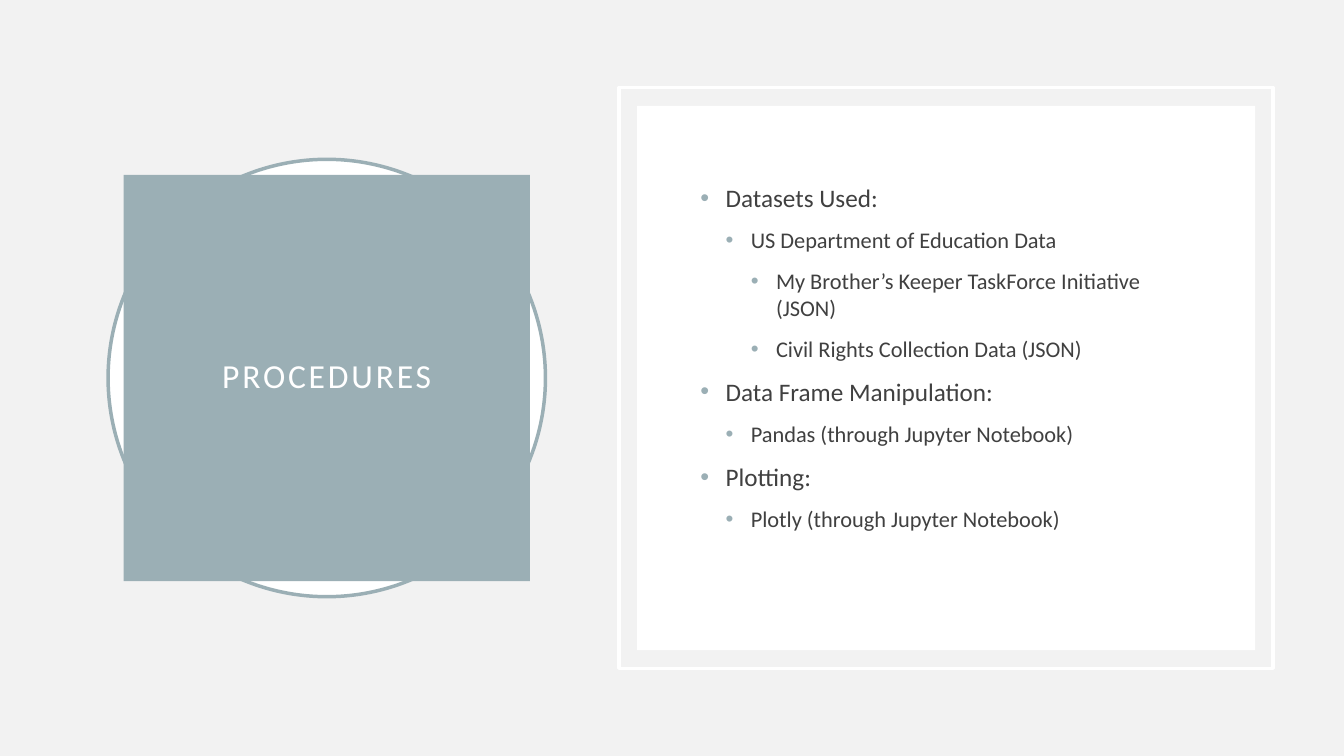
"""Build the Procedures slide: a framed title tile beside a bulleted card."""
import dataclasses
import typing

import pptx
import pptx.dml.color
import pptx.enum.shapes
import pptx.enum.text
import pptx.oxml
import pptx.oxml.ns
import pptx.util

Pt = pptx.util.Pt
Kind = pptx.enum.shapes.MSO_SHAPE
WIDE, HIGH = pptx.util.Inches(13.333), pptx.util.Inches(7.5)
COLS, ROWS = 48, 27
FONT = "Calibri"
HUES = {"back": "F2F2F2", "card": "FFFFFF", "tile": "9BAFB5", "text": "404040"}
STEP = pptx.util.Inches(0.25)


@dataclasses.dataclass(frozen=True)
class Box:
    """A box centred on the slide's middle row, in grid cells."""
    mid: float
    wide: float
    high: float

    def place(self) -> tuple[int, int, int, int]:
        """Give left, top, width and height in EMU."""
        col, row = WIDE / COLS, HIGH / ROWS
        left, top = self.mid - self.wide / 2, (ROWS - self.high) / 2
        return (round(left * col), round(top * row),
                round(self.wide * col), round(self.high * row))


@dataclasses.dataclass(frozen=True)
class Panel:
    """A preset shape with an optional fill and line."""
    kind: typing.Any
    box: Box
    fill: str | None = None
    line: str | None = None


@dataclasses.dataclass(frozen=True)
class Item:
    """One bulleted line and its level."""
    level: int
    text: str


LEFT, RIGHT = 11.67, 33.79
TILE = Panel(Kind.RECTANGLE, Box(LEFT, 14.51, 14.51), "tile")
PANELS = [
    Panel(Kind.OVAL, Box(LEFT, 15.62, 15.62), "card", "tile"),
    Panel(Kind.RECTANGLE, Box(RIGHT, 23.36, 20.74), None, "card"),
    Panel(Kind.RECTANGLE, Box(RIGHT, 22.07, 19.44), "card"),
]
BODY = Box(33.82, 18.32, 15.62)
ITEMS = [
    Item(0, "Datasets Used:"),
    Item(1, "US Department of Education Data"),
    Item(2, "My Brother’s Keeper TaskForce Initiative (JSON)"),
    Item(2, "Civil Rights Collection Data (JSON)"),
    Item(0, "Data Frame Manipulation:"),
    Item(1, "Pandas (through Jupyter Notebook)"),
    Item(0, "Plotting:"),
    Item(1, "Plotly (through Jupyter Notebook)"),
]


def tint(name: str) -> pptx.dml.color.RGBColor:
    """Look up a named colour."""
    return pptx.dml.color.RGBColor.from_string(HUES[name])


def style(run: typing.Any, size: float, hue: str) -> None:
    """Set a run's font, size and colour."""
    run.font.name, run.font.size = FONT, Pt(size)
    run.font.color.rgb = tint(hue)


def draw(slide: typing.Any, panel: Panel) -> typing.Any:
    """Add one panel to the slide."""
    shape = slide.shapes.add_shape(panel.kind, *panel.box.place())
    shape.shadow.inherit = False
    if panel.fill:
        shape.fill.solid()
        shape.fill.fore_color.rgb = tint(panel.fill)
    else:
        shape.fill.background()
    if panel.line:
        shape.line.color.rgb = tint(panel.line)
        shape.line.width = Pt(2.5)
    else:
        shape.line.fill.background()
    return shape


def title(slide: typing.Any, text: str) -> None:
    """Draw the tile with its spaced title."""
    frame = draw(slide, TILE).text_frame
    frame.text = text
    frame.word_wrap = True
    frame.vertical_anchor = pptx.enum.text.MSO_ANCHOR.MIDDLE
    para = frame.paragraphs[0]
    para.alignment = pptx.enum.text.PP_ALIGN.CENTER
    para.line_spacing = 0.9
    style(para.runs[0], 24, "card")
    para.runs[0].font._element.set("spc", "200")


def bullet(para: typing.Any, level: int) -> None:
    """Give a paragraph its hanging indent and coloured bullet."""
    props = para._p.get_or_add_pPr()
    props.set("marL", str(STEP * (level + 1)))
    props.set("indent", str(-STEP))
    space = pptx.oxml.ns.nsdecls("a")
    for xml in (f'<a:buClr {space}><a:srgbClr val="{HUES["tile"]}"/></a:buClr>',
                f'<a:buFont {space} typeface="Arial"/>',
                f'<a:buChar {space} char="•"/>'):
        props.append(pptx.oxml.parse_xml(xml))


def body(slide: typing.Any, items: list[Item]) -> None:
    """Write the bulleted list over the card."""
    frame = slide.shapes.add_textbox(*BODY.place()).text_frame
    frame.word_wrap = True
    frame.vertical_anchor = pptx.enum.text.MSO_ANCHOR.MIDDLE
    frame.margin_bottom = pptx.util.Inches(0.46)
    frame.text = "\n".join(item.text for item in items)
    for para, item in zip(frame.paragraphs, items):
        para.level = item.level
        para.space_before = Pt(10)
        bullet(para, item.level)
        style(para.runs[0], 16 if item.level else 18, "text")


def main() -> None:
    """Build and save the deck."""
    deck = pptx.Presentation()
    deck.slide_width, deck.slide_height = WIDE, HIGH
    slide = deck.slides.add_slide(deck.slide_layouts[6])
    slide.background.fill.solid()
    slide.background.fill.fore_color.rgb = tint("back")
    ring, *cards = PANELS
    draw(slide, ring)
    title(slide, "PROCEDURES")
    for card in cards:
        draw(slide, card)
    body(slide, ITEMS)
    deck.save("out.pptx")


if __name__ == "__main__":
    main()
